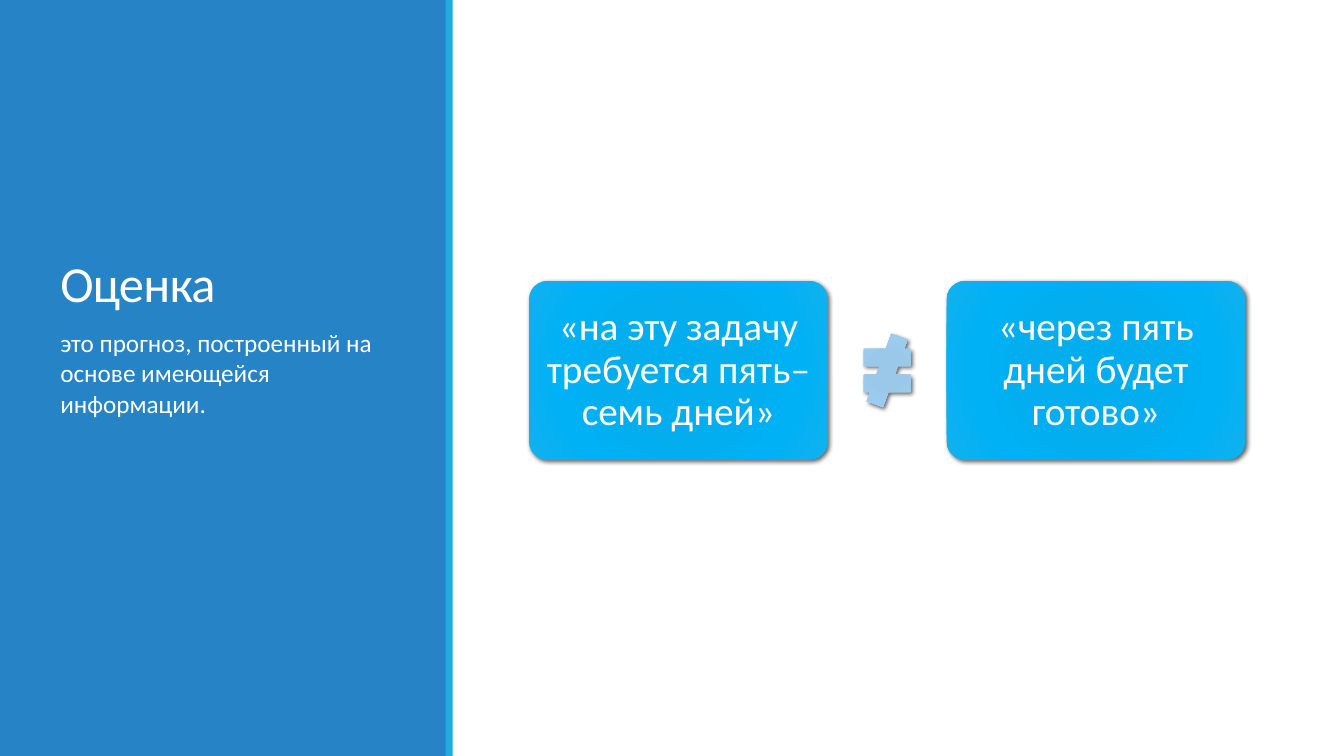
from lxml import etree
from pptx import Presentation
from pptx.dml.color import RGBColor
from pptx.enum.shapes import MSO_SHAPE
from pptx.enum.text import MSO_ANCHOR, PP_ALIGN
from pptx.util import Pt

RECT = MSO_SHAPE.RECTANGLE
ROUND = MSO_SHAPE.ROUNDED_RECTANGLE
UNEQUAL = MSO_SHAPE.MATH_NOT_EQUAL
TOP, MIDDLE, BOTTOM = MSO_ANCHOR.TOP, MSO_ANCHOR.MIDDLE, MSO_ANCHOR.BOTTOM
LEFT, CENTER = PP_ALIGN.LEFT, PP_ALIGN.CENTER
NS = "http://schemas.openxmlformats.org/drawingml/2006/main"

TITLE = "Оценка"
BODY = "это прогноз, построенный на основе имеющейся информации."
CLAIMS = ["«на эту задачу требуется пять–семь дней»", "«через пять дней будет готово»"]

COLORS = {"panel": "2683C6", "stripe": "1CADE4", "text": "FFFFFF", "shadow": "000000"}
STOPS = [0, 34, 70, 100]
GLOWS = {
    "card": ["00ADEF", "03ADEE", "00B1F5", "12B1EE"],
    "sign": ["97C6E8", "9AC8E9", "9BCBEE", "A9D3F3"],
}

WIDE, HIGH = 960, 540
PANELS = [("panel", 0, 319), ("stripe", 318.4, 5)]
CARD_W, CARD_H, CARD_X, STEP = 213.2, 127.6, 378, 298.2
SIGN_W, SIGN_H = 45.2, 52.6
MID_Y = 264.6
MARGIN, TEXT_W = 36, 252

STYLES = {
    "title": {"size": 36, "line": 0.85, "before": 0, "align": LEFT, "anchor": BOTTOM},
    "body": {"size": 18, "line": 1.0, "before": 12, "align": LEFT, "anchor": TOP},
    "card": {"size": 28, "line": 0.9, "before": 0, "align": CENTER, "anchor": MIDDLE},
}


def add_shape(slide, kind, x, y, w, h):
    shape = slide.shapes.add_shape(kind, Pt(x), Pt(y), Pt(w), Pt(h))
    shape.shadow.inherit = False
    shape.line.fill.background()
    return shape


def add_glow(shape, name):
    stops = "".join(
        f'<a:gs pos="{pos * 1000}"><a:srgbClr val="{tone}"/></a:gs>'
        for pos, tone in zip(STOPS, GLOWS[name])
    )
    fill = etree.fromstring(
        f'<a:gradFill xmlns:a="{NS}" rotWithShape="1"><a:gsLst>{stops}</a:gsLst>'
        '<a:path path="circle"><a:fillToRect l="100000" t="100000" r="100000" b="100000"/>'
        "</a:path></a:gradFill>"
    )
    shade = etree.fromstring(
        f'<a:outerShdw xmlns:a="{NS}" blurRad="{Pt(3)}" dist="{Pt(2)}" dir="2700000" '
        f'algn="tl" rotWithShape="0"><a:srgbClr val="{COLORS["shadow"]}">'
        '<a:alpha val="60000"/></a:srgbClr></a:outerShdw>'
    )
    props = shape._element.spPr
    props.find(f"{{{NS}}}prstGeom").addnext(fill)
    props.find(f"{{{NS}}}effectLst").append(shade)


def write(shape, text, name):
    style = STYLES[name]
    frame = shape.text_frame
    para = frame.paragraphs[0]
    run = para.add_run()
    run.text = text
    formats = [
        (frame, {"word_wrap": True, "vertical_anchor": style["anchor"]}),
        (para, {"alignment": style["align"], "line_spacing": style["line"],
                "space_before": Pt(style["before"])}),
        (run.font, {"name": "Calibri", "size": Pt(style["size"])}),
        (run.font.color, {"rgb": RGBColor.from_string(COLORS["text"])}),
    ]
    for target, values in formats:
        for key, value in values.items():
            setattr(target, key, value)
    return run


def add_text(slide, text, name, y, h):
    box = slide.shapes.add_textbox(Pt(MARGIN), Pt(y), Pt(TEXT_W), Pt(h))
    return write(box, text, name)


def main():
    deck = Presentation()
    deck.slide_width, deck.slide_height = Pt(WIDE), Pt(HIGH)
    slide = deck.slides.add_slide(deck.slide_layouts[6])

    for name, x, w in PANELS:
        panel = add_shape(slide, RECT, x, 0, w, HIGH)
        panel.fill.solid()
        panel.fill.fore_color.rgb = RGBColor.from_string(COLORS[name])

    title = add_text(slide, TITLE, "title", 46.8, 180)
    title.font._element.set("spc", "-50")
    add_text(slide, BODY, "body", 230.4, 266.4)

    for i, claim in enumerate(CLAIMS):
        card = add_shape(slide, ROUND, CARD_X + i * STEP, MID_Y - CARD_H / 2, CARD_W, CARD_H)
        card.adjustments[0] = 0.1
        add_glow(card, "card")
        write(card, claim, "card")
        for side in ("left", "top", "right", "bottom"):
            setattr(card.text_frame, f"margin_{side}", Pt(8.64))

    sign_x = CARD_X + (CARD_W + STEP - SIGN_W) / 2
    sign = add_shape(slide, UNEQUAL, sign_x, MID_Y - SIGN_H / 2, SIGN_W, SIGN_H)
    add_glow(sign, "sign")

    deck.save("out.pptx")


if __name__ == "__main__":
    main()
